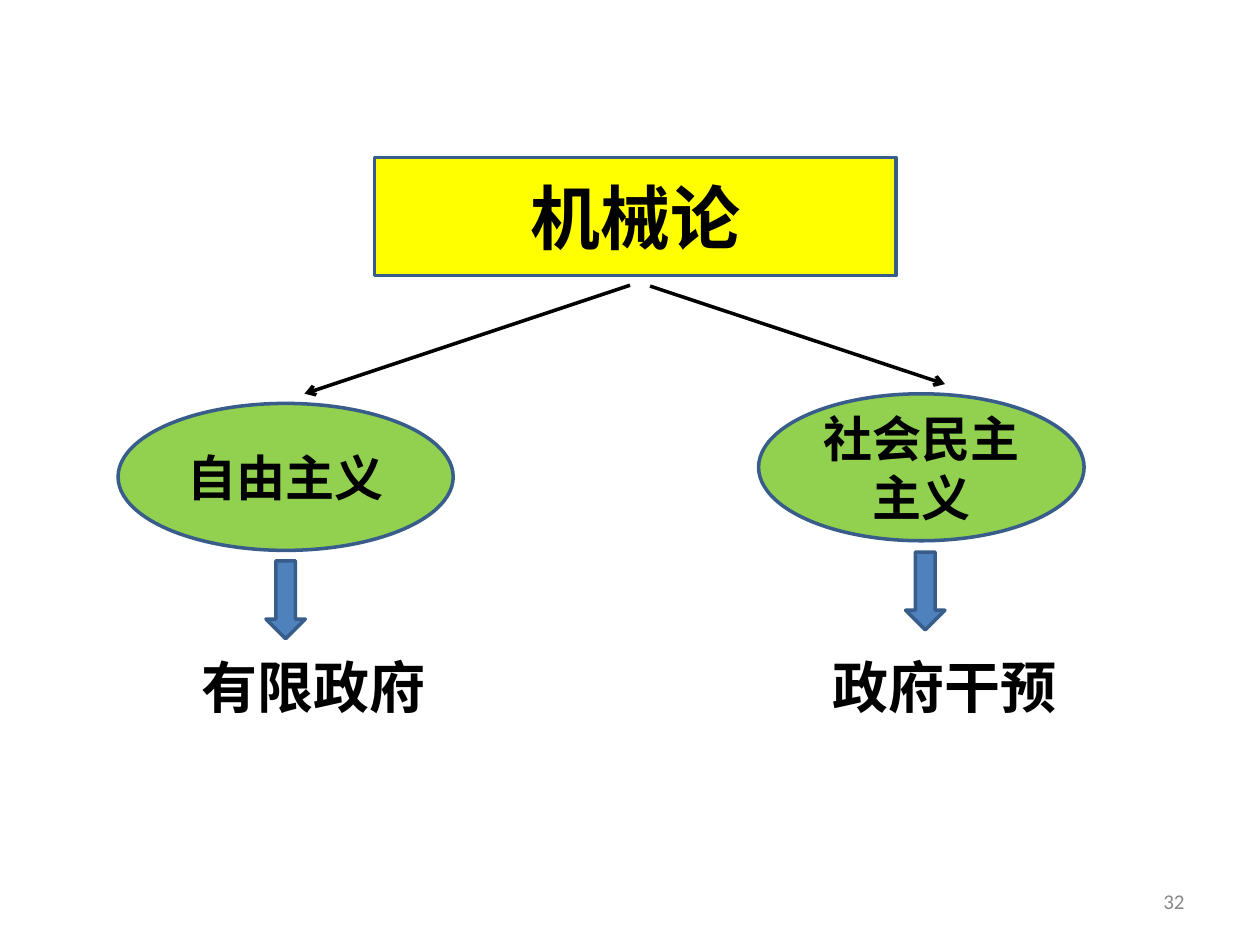
from lxml import etree
from pptx import Presentation
from pptx.dml.color import RGBColor
from pptx.enum import shapes, text
from pptx.oxml import ns
from pptx.util import Pt

BLACK, OUTLINE = "000000", "385D8A"
CJK, LATIN = "Noto Sans CJK JP", "Calibri"
CENTER, RIGHT = text.PP_ALIGN.CENTER, text.PP_ALIGN.RIGHT
KIND = shapes.MSO_SHAPE

ROOT = ("机械论", (214, 90, 298, 67.5))
BRANCHES = [
    {"name": "自由主义", "oval": (67.5, 230.5, 191.5, 84), "result": "有限政府",
     "result_center": 179.5, "link": (360, 163, 174, 225), "arrow": (152, 320.5)},
    {"name": "社会民主主义", "oval": (433.5, 225, 186, 84), "result": "政府干预",
     "result_center": 540, "link": (371.5, 163.5, 540, 219.5), "arrow": (517.5, 315.5)},
]
ARROW_SIZE = (22.5, 44.5)
RESULT_TOP, RESULT_W, RESULT_H = 367, 160, 50
PAGE = ("32", (516, 500.5, 168, 29))


def rgb(value):
    return RGBColor.from_string(value)


def pts(values):
    return [Pt(v) for v in values]


def write(shape, words, size, font=LATIN, color=BLACK, bold=True, align=CENTER):
    tf = shape.text_frame
    tf.word_wrap = True
    tf.vertical_anchor = text.MSO_ANCHOR.MIDDLE
    p = tf.paragraphs[0]
    p.alignment = align
    r = p.add_run()
    r.text = words
    for key, value in {"name": font, "size": Pt(size), "bold": bold}.items():
        setattr(r.font, key, value)
    r.font.color.rgb = rgb(color)


def add_box(s, kind, place, fill):
    sp = s.shapes.add_shape(kind, *pts(place))
    sp.shadow.inherit = False
    sp.fill.solid()
    sp.fill.fore_color.rgb = rgb(fill)
    sp.line.color.rgb = rgb(OUTLINE)
    sp.line.width = Pt(2)
    return sp


def add_label(s, place, *args, **kwargs):
    write(s.shapes.add_textbox(*pts(place)), *args, **kwargs)


def add_link(s, ends):
    line = s.shapes.add_connector(shapes.MSO_CONNECTOR.STRAIGHT, *pts(ends))
    line.line.color.rgb = rgb(BLACK)
    line.line.width = Pt(2)
    etree.SubElement(line.line._get_or_add_ln(), ns.qn("a:tailEnd"), type="arrow")
    etree.SubElement(line._element.spPr, ns.qn("a:effectLst"))


def main():
    prs = Presentation()
    prs.slide_width, prs.slide_height = pts((720, 540))
    s = prs.slides.add_slide(prs.slide_layouts[6])

    title, place = ROOT
    write(add_box(s, KIND.RECTANGLE, place, "FFFF00"), title, 40, CJK)
    for branch in BRANCHES:
        add_link(s, branch["link"])
        write(add_box(s, KIND.OVAL, branch["oval"], "92D050"), branch["name"], 28)
        add_box(s, KIND.DOWN_ARROW, branch["arrow"] + ARROW_SIZE, "4F81BD")
        left = branch["result_center"] - RESULT_W / 2
        add_label(s, (left, RESULT_TOP, RESULT_W, RESULT_H), branch["result"], 32)

    number, place = PAGE
    add_label(s, place, number, 12, color="898989", bold=False, align=RIGHT)
    prs.save("out.pptx")


if __name__ == "__main__":
    main()
